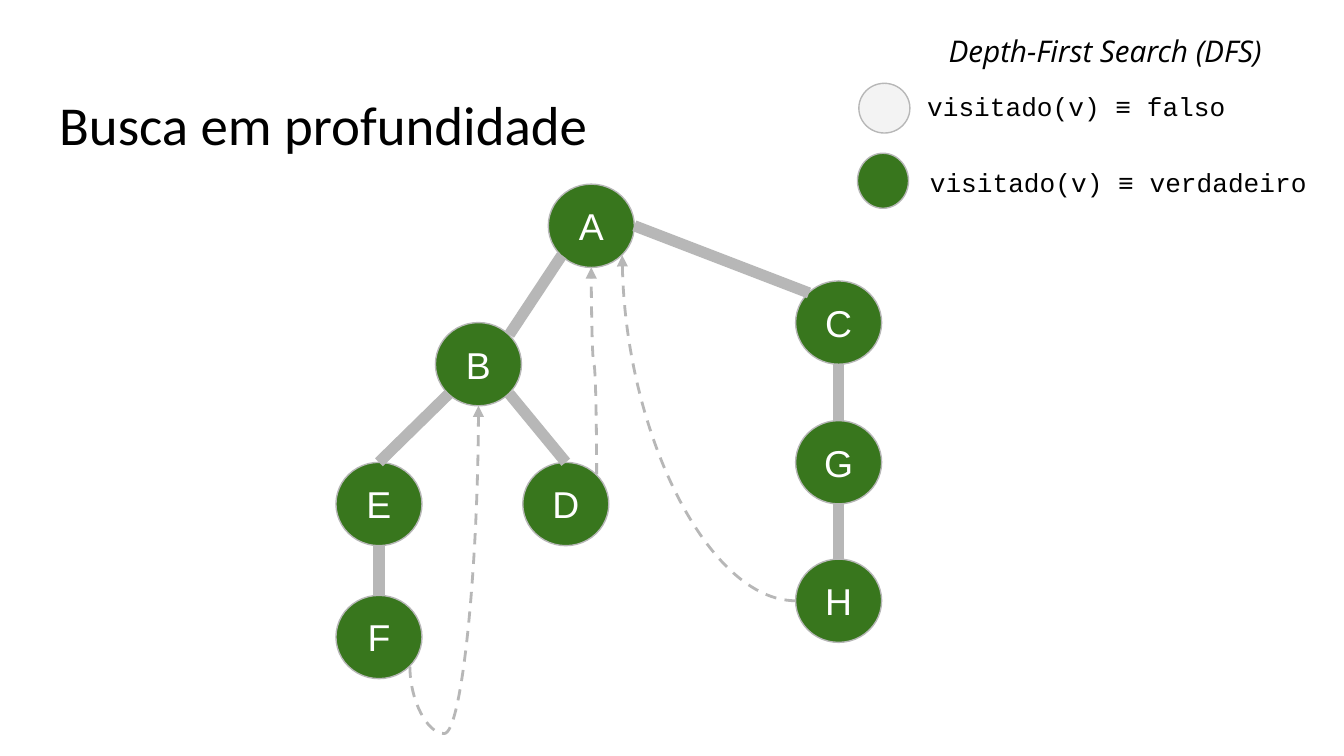
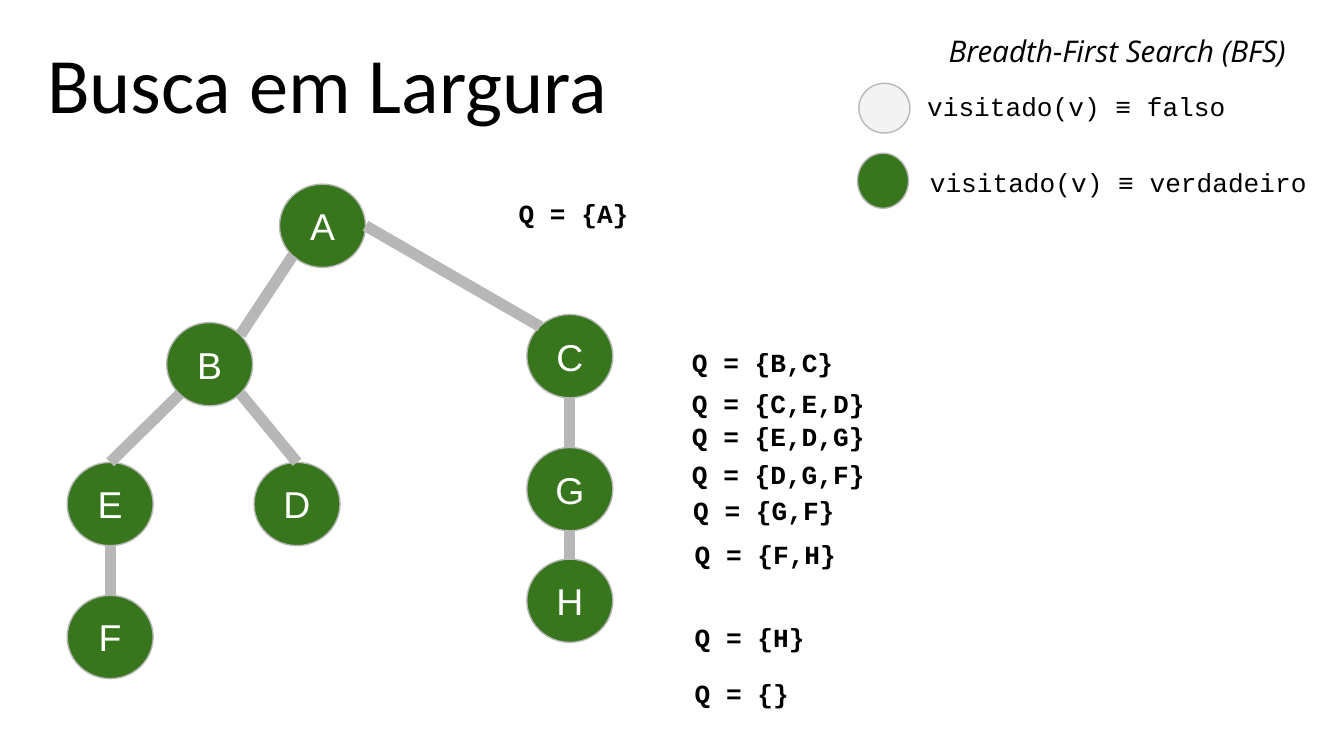
from lxml.etree import SubElement
from pptx import Presentation
from pptx.dml.color import RGBColor
from pptx.enum.dml import MSO_LINE
from pptx.enum.shapes import MSO_CONNECTOR as Link, MSO_SHAPE as Shape
from pptx.enum.text import MSO_ANCHOR as Anchor, MSO_AUTO_SIZE as Fit, PP_ALIGN as Align
from pptx.oxml.ns import qn
from pptx.util import Emu, Pt

PX = 9144  # 100 px to the inch
COLORS = {"visited": "38761D", "unvisited": "F3F3F3", "edge": "B7B7B7",
          "ink": "000000", "label": "FFFFFF"}

# Text formats
HEADING = {"name": "Calibri", "size": Pt(42)}
TOPIC = {"name": "Open Sans", "size": Pt(16), "italic": True}
CODE = {"name": "Courier New", "size": Pt(14)}
QUEUE = {**CODE, "bold": True}
LETTER = {"name": "Arial", "size": Pt(20)}

# Vertices, and the points on their outline where edges end
NODE_W, NODE_H = 64, 62
SITES = {"top": (32, 0), "left": (0, 31), "bottom": (32, 62), "right": (64, 31),
         "top left": (10, 9), "top right": (55, 9),
         "low left": (10, 53), "low right": (55, 53)}

LEFT_BRANCH = {"A": (158, 0), "B": (74, 103), "E": (0, 207), "D": (139, 207), "F": (0, 306)}
RIGHT_BRANCH_X = 342
EDGES = [("A", "low left", "B", "top right"), ("B", "low left", "E", "top"),
         ("E", "bottom", "F", "top"), ("B", "low right", "D", "top"),
         ("A", "right", "C", "top left"), ("C", "bottom", "G", "top"),
         ("G", "bottom", "H", "top")]

# Back edges: ends, preset, rotation, mirrored, bend
BACK_EDGES = [("F", "low right", "B", "bottom", "curvedConnector3", 270, False, -25700),
              ("D", "top right", "A", "bottom", "curvedConnector3", 90, True, 53000),
              ("H", "left", "A", "low right", "curvedConnector2", 180, False, None)]

# Queue states: text, left, top, width
QUEUE_STATES = [("Q = {A}", 0, 0, 129), ("Q = {B,C}", 129, 111, 129),
                ("Q = {C,E,D}", 129, 141, 176), ("Q = {E,D,G}", 129, 166, 176),
                ("Q = {D,G,F}", 129, 194, 176), ("Q = {G,F}", 130, 221, 176),
                ("Q = {F,H}", 131, 254, 155), ("Q = {H}", 131, 315, 155),
                ("Q = {}", 131, 357, 155)]


def px(*lengths):
    return [Emu(round(length * PX)) for length in lengths]


def color(name):
    return RGBColor.from_string(COLORS[name])


def write(frame, text, look, ink="ink", align=Align.LEFT, **settings):
    inset = px(10)[0]
    margins = {f"margin_{side}": inset for side in ("left", "top", "right", "bottom")}
    for name, value in {"word_wrap": True, **margins, **settings}.items():
        setattr(frame, name, value)
    para = frame.paragraphs[0]
    para.alignment = align
    span = para.add_run()
    span.text = text
    for name, value in look.items():
        setattr(span.font, name, value)
    span.font.color.rgb = color(ink)
    return para


def add_text(page, box, text, look):
    frame = page.shapes.add_textbox(*px(*box)).text_frame
    write(frame, text, look, auto_size=Fit.SHAPE_TO_FIT_TEXT)


def add_title(page, box, text, size=42, spacing=None):
    title = page.shapes.title
    title.left, title.top, title.width, title.height = px(*box)
    para = write(title.text_frame, text, {**HEADING, "size": Pt(size)},
                 vertical_anchor=Anchor.BOTTOM, auto_size=Fit.NONE)
    para.line_spacing = spacing


def add_circle(page, box, fill):
    circle = page.shapes.add_shape(Shape.OVAL, *px(*box))
    circle.shadow.inherit = False
    circle.fill.solid()
    circle.fill.fore_color.rgb = color(fill)
    circle.line.color.rgb = color("edge")
    circle.line.width = Pt(0.75)
    return circle


def add_link(page, kind, start, end, width):
    link = page.shapes.add_connector(kind, *px(*start, *end))
    link.line.color.rgb = color("edge")
    link.line.width = Pt(width)
    SubElement(link._element.spPr, qn("a:effectLst"))
    return link


def add_back_edge(page, start, end, preset, turn, mirrored, bend):
    """Dashed curve with an arrowhead; its frame is turned about its centre."""
    width, height = abs(end[0] - start[0]), abs(end[1] - start[1])
    if turn % 180:
        width, height = height, width
    left = (start[0] + end[0] - width) / 2
    top = (start[1] + end[1] - height) / 2
    first, last = (left, top), (left + width, top + height)
    if mirrored:
        first, last = (last[0], first[1]), (first[0], last[1])
    curve = add_link(page, Link.CURVE, first, last, 1.5)
    curve.line.dash_style = MSO_LINE.DASH
    SubElement(curve.line._get_or_add_ln(), qn("a:tailEnd"), type="triangle")
    properties = curve._element.spPr
    properties.find(qn("a:xfrm")).set("rot", str(turn * 60000))
    shape = properties.find(qn("a:prstGeom"))
    shape.set("prst", preset)
    if bend is not None:
        guides = shape.find(qn("a:avLst"))
        if guides is None:
            guides = SubElement(shape, qn("a:avLst"))
        SubElement(guides, qn("a:gd"), name="adj1", fmla=f"val {bend}")


def add_legend(page, left, top, topic):
    add_text(page, (left + 58, top, 297, 47), topic, TOPIC)
    add_circle(page, (left, top + 100, 38, 41), "visited")
    add_circle(page, (left + 1, top + 48, 38, 37), "unvisited")
    add_text(page, (left + 42, top + 43, 282, 43), "visitado(v) ≡ falso", CODE)
    add_text(page, (left + 44, top + 100, 318, 43), "visitado(v) ≡ verdadeiro", CODE)


def add_tree(page, left, top, right_tops, back_edges=()):
    places = {**LEFT_BRANCH,
              **{name: (RIGHT_BRANCH_X, y) for name, y in zip("CGH", right_tops)}}

    def site(name, side):
        return tuple(map(sum, zip((left, top), places[name], SITES[side])))

    # Vertices
    for name, (x, y) in places.items():
        node = add_circle(page, (left + x, top + y, NODE_W, NODE_H), "visited")
        write(node.text_frame, name, LETTER, "label", Align.CENTER,
              vertical_anchor=Anchor.MIDDLE)
    # Tree edges
    for parent, out, child, into in EDGES:
        add_link(page, Link.STRAIGHT, site(parent, out), site(child, into), 6)
    # Back edges
    for low, out, high, into, *bending in back_edges:
        add_back_edge(page, site(low, out), site(high, into), *bending)


def add_queue(page, left, top):
    for text, x, y, width in QUEUE_STATES:
        add_text(page, (left + x, top + y, width, 43), text, QUEUE)


def add_page(deck, topic):
    page = deck.slides.add_slide(deck.slide_layouts[5])
    add_legend(page, 638, 14, topic)
    return page


def depth_page(deck):
    page = add_page(deck, "Depth-First Search (DFS)")
    add_title(page, (34, 35, 523, 91), "Busca em profundidade", 29.4, 0.8)
    add_tree(page, 250, 137, (72, 176, 279), BACK_EDGES)


def breadth_page(deck):
    page = add_page(deck, "Breadth-First Search (BFS)")
    add_title(page, (25, 15, 523, 91), "Busca em Largura")
    add_tree(page, 50, 137, (97, 196, 279))
    add_queue(page, 376, 137)


def main():
    deck = Presentation()
    deck.slide_width = px(1000)[0]
    deck.slide_height = Emu(deck.slide_width * 9 // 16)
    depth_page(deck)
    breadth_page(deck)
    deck.save("out.pptx")


if __name__ == "__main__":
    main()
